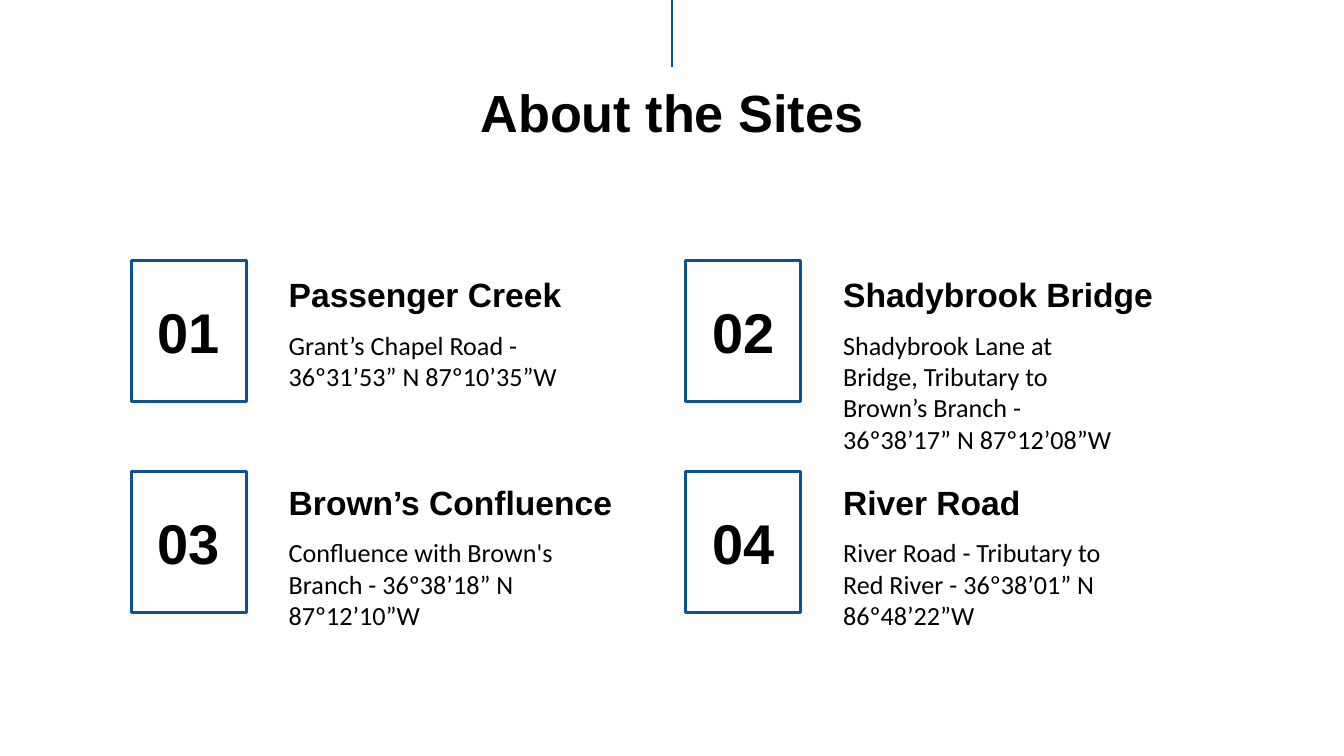
from dataclasses import dataclass

from lxml import etree
from pptx import Presentation
from pptx import util as u
from pptx.dml.color import RGBColor
from pptx.enum import shapes, text
from pptx.oxml import ns


@dataclass(frozen=True)
class Theme:
    ink: RGBColor = RGBColor(0x00, 0x00, 0x00)
    accent: RGBColor = RGBColor(0x0B, 0x53, 0x94)
    heading_font: str = "Arial"
    body_font: str = "Calibri"
    title_size: float = 28
    number_size: float = 30
    heading_size: float = 18
    body_size: float = 14
    line_width: float = 1.5
    inset: float = 7.2


@dataclass(frozen=True)
class Frame:
    left: float
    top: float
    width: float
    height: float

    def shifted(self, across: float, down: float) -> "Frame":
        return Frame(self.left + across, self.top + down, self.width, self.height)

    def lengths(self) -> list[u.Length]:
        return [u.Pt(v) for v in (self.left, self.top, self.width, self.height)]


@dataclass(frozen=True)
class Site:
    name: str
    location: str


THEME = Theme()
SLIDE_WIDTH, SLIDE_HEIGHT = 720, 405

# Frames of the first site; the others follow by column and row steps
NUMBER = Frame(70.4, 139.7, 61.5, 75.6)
HEADING = Frame(147.6, 139.7, 215.3, 31.7)
LOCATION = Frame(147.6, 169, 165.6, 46.8)
COLUMNS = 2
COLUMN_STEP = 297
NUMBER_ROW_STEP = 112.8
TEXT_ROW_STEP = 111.4

SITES = [
    Site("Passenger Creek", "Grant’s Chapel Road - 36º31’53” N 87º10’35”W"),
    Site("Shadybrook Bridge",
         "Shadybrook Lane at Bridge, Tributary to Brown’s Branch - 36º38’17” N 87º12’08”W"),
    Site("Brown’s Confluence",
         "Confluence with Brown's Branch - 36º38’18” N 87º12’10”W"),
    Site("River Road", "River Road - Tributary to Red River - 36º38’01” N 86º48’22”W"),
]

HEADING_STYLE = {"name": THEME.heading_font, "size": u.Pt(THEME.heading_size), "bold": True}
TITLE_STYLE = HEADING_STYLE | {"size": u.Pt(THEME.title_size)}
NUMBER_STYLE = HEADING_STYLE | {"size": u.Pt(THEME.number_size)}
BODY_STYLE = {"name": THEME.body_font, "size": u.Pt(THEME.body_size), "bold": False}


def write(shape, words: str, style: dict, align=text.PP_ALIGN.LEFT,
          anchor=text.MSO_ANCHOR.TOP) -> None:
    frame = shape.text_frame
    layout = {"word_wrap": True, "vertical_anchor": anchor}
    layout |= {f"margin_{side}": u.Pt(THEME.inset)
               for side in ("left", "right", "top", "bottom")}
    for key, value in layout.items():
        setattr(frame, key, value)
    paragraph = frame.paragraphs[0]
    paragraph.alignment = align
    run = paragraph.add_run()
    run.text = words
    for key, value in style.items():
        setattr(run.font, key, value)
    run.font.color.rgb = THEME.ink


def draw_text(slide, place: Frame, words: str, style: dict,
              align=text.PP_ALIGN.LEFT) -> None:
    write(slide.shapes.add_textbox(*place.lengths()), words, style, align)


def draw_number(slide, place: Frame, words: str) -> None:
    box = slide.shapes.add_shape(shapes.MSO_SHAPE.RECTANGLE, *place.lengths())
    box.shadow.inherit = False
    box.fill.background()
    box.line.color.rgb = THEME.accent
    box.line.width = u.Pt(THEME.line_width)
    write(box, words, NUMBER_STYLE, text.PP_ALIGN.CENTER, text.MSO_ANCHOR.MIDDLE)


def draw_top_line(slide) -> None:
    middle = u.Pt(SLIDE_WIDTH / 2)
    top_line = slide.shapes.add_connector(
        shapes.MSO_CONNECTOR.STRAIGHT, middle, u.Pt(0), middle, u.Pt(36))
    top_line.line.color.rgb = THEME.accent
    top_line.line.width = u.Pt(THEME.line_width)
    etree.SubElement(top_line._element.spPr, ns.qn("a:effectLst"))


def draw_site(slide, index: int, site: Site) -> None:
    row, column = divmod(index, COLUMNS)
    across = column * COLUMN_STEP
    down = row * TEXT_ROW_STEP
    draw_text(slide, HEADING.shifted(across, down), site.name, HEADING_STYLE)
    draw_number(slide, NUMBER.shifted(across, row * NUMBER_ROW_STEP), f"{index + 1:02}")
    draw_text(slide, LOCATION.shifted(across, down), site.location, BODY_STYLE)


def main() -> None:
    deck = Presentation()
    deck.slide_width, deck.slide_height = u.Pt(SLIDE_WIDTH), u.Pt(SLIDE_HEIGHT)
    slide = deck.slides.add_slide(deck.slide_layouts[6])

    # Line from the top edge down to the title
    draw_top_line(slide)

    # Numbered sites, two to a row
    for index, site in enumerate(SITES):
        draw_site(slide, index, site)

    # Title
    draw_text(slide, Frame(56.7, 36, 606.6, 42.5), "About the Sites",
              TITLE_STYLE, text.PP_ALIGN.CENTER)

    deck.save("out.pptx")


if __name__ == "__main__":
    main()
